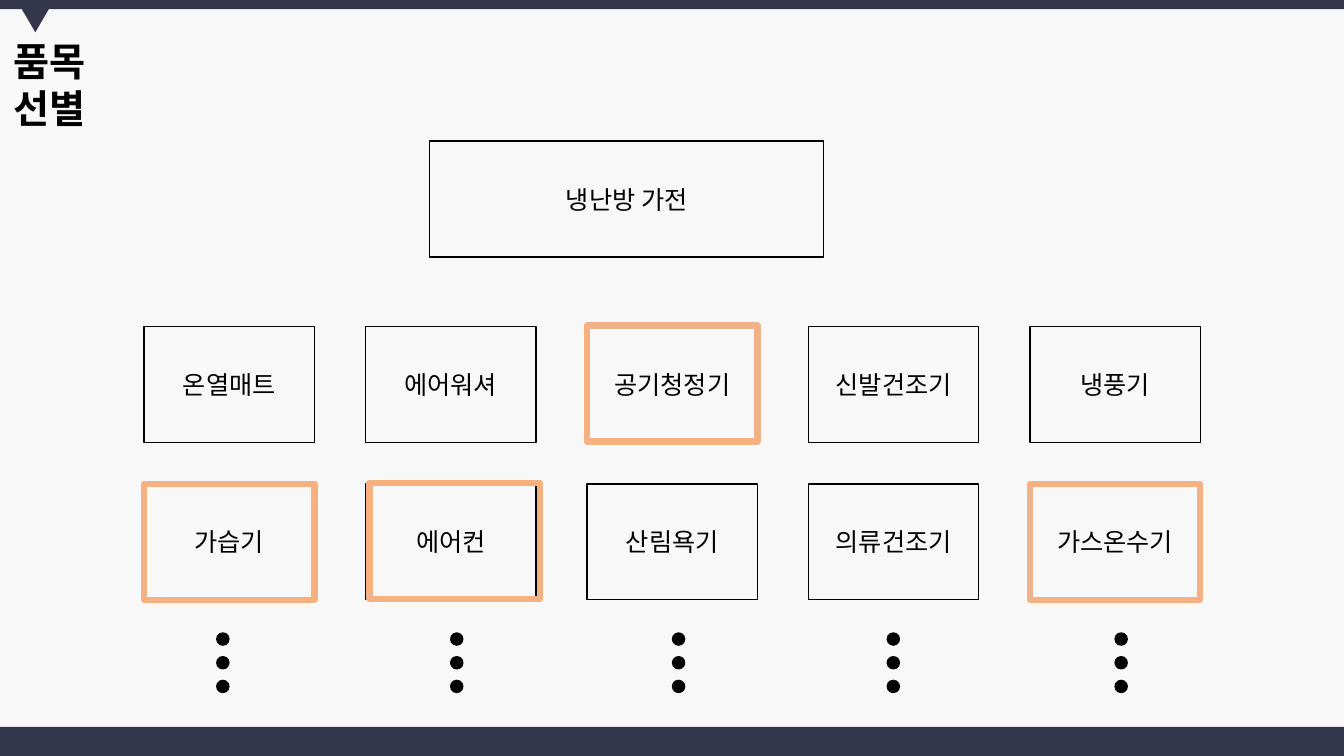
from lxml.etree import SubElement
from pptx import Presentation
from pptx.dml.color import RGBColor
from pptx.enum.shapes import MSO_SHAPE as Preset
from pptx.enum.text import MSO_ANCHOR as Anchor, PP_ALIGN as Align
from pptx.oxml.ns import qn
from pptx.util import Inches, Pt

COLORS = {
    "background": "F8F8F8",
    "navy": "34364B",
    "black": "000000",
    "highlight": "F4B183",
}
FONT = "Noto Sans CJK KR"
WIDTH, HEIGHT = 13.33, 7.5

CARD_LEFT, CARD_PITCH = 1.43, 2.196
CARD_TOP, ROW_PITCH = 3.24, 1.56
CARD_WIDTH, CARD_HEIGHT = 1.69, 1.15
PRODUCTS = [
    ["온열매트", "에어워셔", "공기청정기", "신발건조기", "냉풍기"],
    ["가습기", "에어컨", "산림욕기", "의류건조기", "가스온수기"],
]
# Row, column, and small offset of each selected product's frame
SELECTED = [(0, 2, 0, -0.01), (1, 0, 0, 0), (1, 4, 0, 0), (1, 1, 0.04, -0.01)]

DOT_LEFTS = [2.15, 4.47, 6.67, 8.8, 11.06]
DOT_TOP, DOT_PITCH, DOT_SIZE = 6.28, 0.235, 0.12


def color(name):
    return RGBColor.from_string(COLORS[name])


def add_preset(shapes, preset, left, top, width, height,
               fill=None, line=None, line_width=1):
    shape = shapes.add_shape(
        preset, Inches(left), Inches(top), Inches(width), Inches(height))
    shape.shadow.inherit = False
    if fill:
        shape.fill.solid()
        shape.fill.fore_color.rgb = color(fill)
    else:
        shape.fill.background()
    if line:
        shape.line.color.rgb = color(line)
        shape.line.width = Pt(line_width)
    else:
        shape.line.fill.background()
    return shape


def write_text(shape, text, size=18, bold=False, align=Align.CENTER,
               anchor=Anchor.MIDDLE):
    frame = shape.text_frame
    frame.word_wrap = True
    frame.vertical_anchor = anchor
    paragraph = frame.paragraphs[0]
    paragraph.alignment = align
    run = paragraph.add_run()
    run.text = text
    run.font.name = FONT
    run.font.size = Pt(size)
    run.font.bold = bold
    run.font.color.rgb = color("black")
    SubElement(run.font._element, qn("a:ea"), typeface=FONT)


def add_card(shapes, text, left, top, width=CARD_WIDTH):
    card = add_preset(shapes, Preset.RECTANGLE, left, top, width, CARD_HEIGHT,
                      line="black")
    write_text(card, text)


def card_position(row, column):
    return CARD_LEFT + column * CARD_PITCH, CARD_TOP + row * ROW_PITCH


def add_title(shapes, text):
    box = shapes.add_textbox(
        Inches(0.04), Inches(0.32), Inches(1.69), Inches(0.57))
    # The wide right margin puts each word on its own line
    box.text_frame.margin_right = Inches(0.6)
    write_text(box, text, size=28, bold=True, align=Align.LEFT,
               anchor=Anchor.TOP)


def add_bands(shapes):
    add_preset(shapes, Preset.RECTANGLE, 0, 0, WIDTH, 0.09, fill="navy")
    add_preset(shapes, Preset.RECTANGLE, 0, 7.21, WIDTH, 0.29, fill="navy")
    pointer = add_preset(shapes, Preset.ISOSCELES_TRIANGLE,
                         0.21, 0.08, 0.28, 0.24, fill="navy")
    pointer.rotation = 180


def add_vertical_ellipsis(shapes, left):
    group = shapes.add_group_shape()
    for index in range(3):
        add_preset(group.shapes, Preset.OVAL, left,
                   DOT_TOP + index * DOT_PITCH, DOT_SIZE, DOT_SIZE,
                   fill="black", line="black")


def main():
    presentation = Presentation()
    presentation.slide_width = Inches(WIDTH)
    presentation.slide_height = Inches(HEIGHT)
    slide = presentation.slides.add_slide(presentation.slide_layouts[6])
    slide.background.fill.solid()
    slide.background.fill.fore_color.rgb = color("background")
    shapes = slide.shapes

    add_bands(shapes)
    add_title(shapes, "품목 선별")
    add_card(shapes, "냉난방 가전", 4.26, 1.4, width=3.91)
    for row, names in enumerate(PRODUCTS):
        for column, name in enumerate(names):
            add_card(shapes, name, *card_position(row, column))
    for left in DOT_LEFTS:
        add_vertical_ellipsis(shapes, left)
    for row, column, shift_x, shift_y in SELECTED:
        left, top = card_position(row, column)
        add_preset(shapes, Preset.RECTANGLE, left + shift_x, top + shift_y,
                   CARD_WIDTH, CARD_HEIGHT, line="highlight", line_width=4.5)
    presentation.save("out.pptx")


if __name__ == "__main__":
    main()
